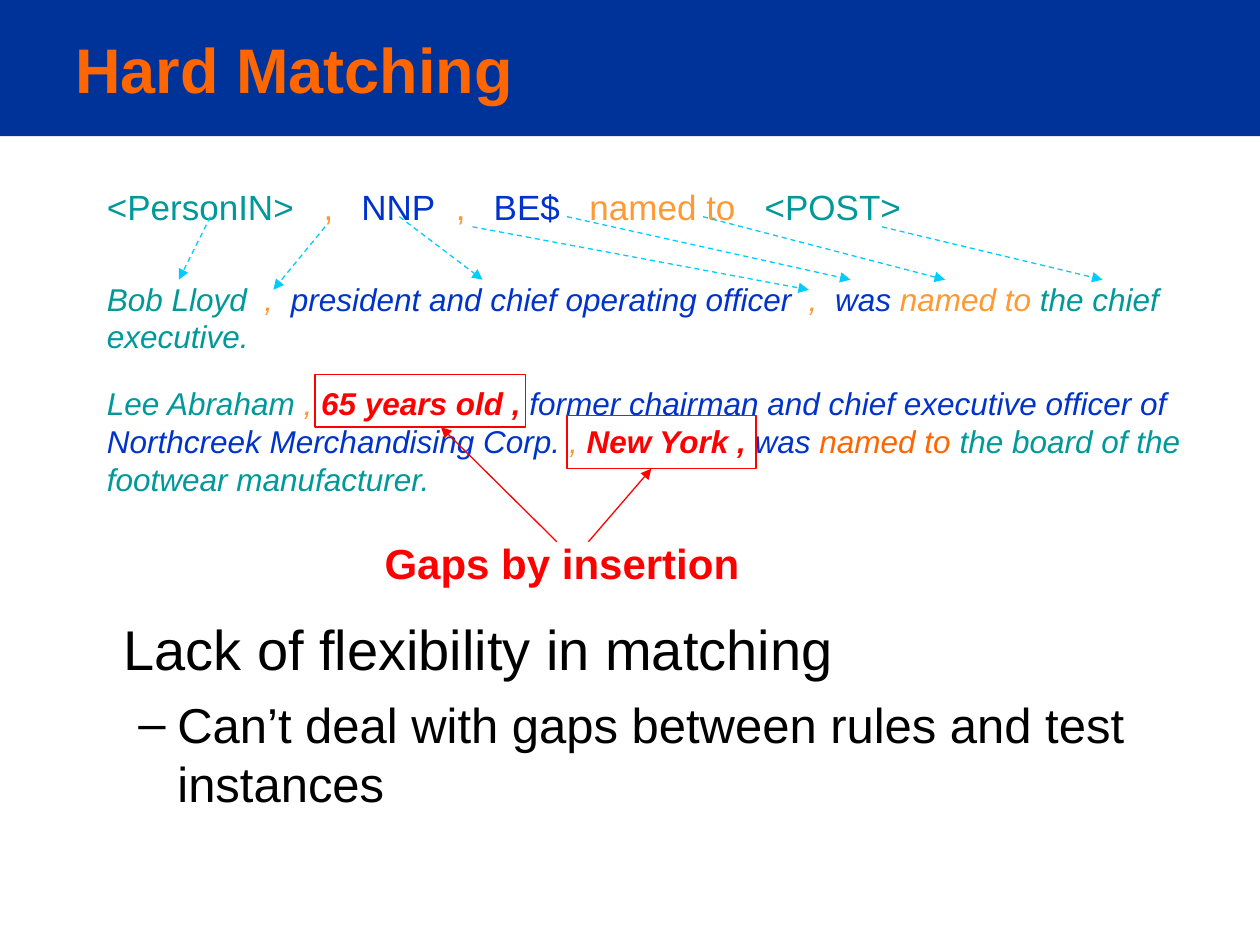
"""Build the slide on hard matching of patterns."""
from lxml import etree
from pptx import Presentation
from pptx.dml.color import RGBColor
from pptx.enum.dml import MSO_LINE
from pptx.enum.shapes import MSO_CONNECTOR, MSO_SHAPE
from pptx.enum.text import MSO_ANCHOR, PP_ALIGN
from pptx.oxml.ns import qn
from pptx.util import Inches, Pt

RECT, LINE = MSO_SHAPE.RECTANGLE, MSO_CONNECTOR.STRAIGHT
DASH = MSO_LINE.DASH
MIDDLE, CENTER = MSO_ANCHOR.MIDDLE, PP_ALIGN.CENTER
NAVY = RGBColor(0x00, 0x33, 0x99)
ORANGE = RGBColor(0xFF, 0x66, 0x00)
AMBER = RGBColor(0xFF, 0x99, 0x33)
TEAL = RGBColor(0x00, 0x99, 0x99)
BLUE = RGBColor(0x00, 0x33, 0xCC)
RED = RGBColor(0xFF, 0x00, 0x00)
CYAN = RGBColor(0x00, 0xCC, 0xFF)
BLACK = RGBColor(0x00, 0x00, 0x00)

TITLE = [("Hard Matching", ORANGE)]
RULE = [("<PersonIN>\t", TEAL), (",\t", AMBER), ("NNP\t", BLUE), (",\t", AMBER),
        ("BE$\t", BLUE), ("named to\t", AMBER), ("<POST>", TEAL)]
RULE_TABS = [1.72, 2.02, 2.77, 3.07, 3.83, 5.22]
MATCH = [("Bob Lloyd\t", TEAL), (",\t", AMBER),
         ("president and chief operating officer\t", BLUE), (",\t", AMBER),
         ("was ", BLUE), ("named to", AMBER), (" the chief executive.", TEAL)]
MATCH_TABS = [1.25, 1.46, 5.57, 5.78]
MISS = [("Lee Abraham ", TEAL), (", ", AMBER), ("65 years old , ", RED),
        ("former chairman and chief executive officer of "
         "Northcreek Merchandising Corp. ", BLUE),
        (", ", AMBER), ("New York , ", RED), ("was ", BLUE),
        ("named to", ORANGE), (" the board of the footwear manufacturer.", TEAL)]
LABEL = [("Gaps by insertion", RED)]
POINT = [("Lack of flexibility in matching", BLACK)]
DETAIL = [("Can’t deal with gaps between rules and test instances", BLACK)]

GAPS = [(2.5, 2.97, 1.67, 0.42), (4.5, 3.3, 1.5, 0.42)]
GAP_LINES = [(4.42, 4.3, 3.5, 3.39), (4.67, 4.3, 5.17, 3.72)]
MATCH_LINES = [(1.67, 1.72, 1.42, 2.22), (2.58, 1.8, 2.17, 2.3),
               (3.17, 1.72, 3.83, 2.22), (3.75, 1.8, 6.42, 2.3),
               (4.5, 1.72, 6.75, 2.22), (5.58, 1.72, 7.5, 2.22),
               (7, 1.8, 8.75, 2.22)]


def inches(nums):
    return [Inches(n) for n in nums]


def add_frame(slide, place):
    frame = slide.shapes.add_textbox(*inches(place)).text_frame
    frame.word_wrap = True
    return frame


def write(para, runs, size, bold=False, italic=False):
    font = para.font
    font.name, font.size, font.italic = "Arial", Pt(size), italic
    font.bold = bold
    for text, color in runs:
        run = para.add_run()
        run.text = text
        run.font.color.rgb = color
        if color == RED:
            run.font.bold = True


def set_tabs(para, stops):
    props = para._p.get_or_add_pPr()
    tabs = etree.Element(qn("a:tabLst"))
    for stop in stops:
        etree.SubElement(tabs, qn("a:tab"), pos=str(Inches(stop)), algn="l")
    props.insert_element_before(tabs, "a:defRPr", "a:extLst")


def set_indent(para, left, first=0, mark=None):
    props = para._p.get_or_add_pPr()
    props.set("marL", str(Inches(left)))
    props.set("indent", str(Inches(first)))
    if mark:
        face = etree.Element(qn("a:buFont"), typeface="Arial")
        item = etree.Element(qn("a:buChar"), char=mark)
        for part in (face, item):
            props.insert_element_before(part, "a:tabLst", "a:defRPr", "a:extLst")


def add_rect(slide, place, fill=None, edge=None):
    shape = slide.shapes.add_shape(RECT, *inches(place))
    shape.shadow.inherit = False
    if fill is None:
        shape.fill.background()
    else:
        shape.fill.solid()
        shape.fill.fore_color.rgb = fill
    if edge is None:
        shape.line.fill.background()
    else:
        shape.line.color.rgb = edge
        shape.line.width = Pt(0.75)


def add_arrow(slide, ends, color, dash=None):
    arrow = slide.shapes.add_connector(LINE, *inches(ends))
    arrow.line.color.rgb = color
    arrow.line.width = Pt(0.75)
    if dash:
        arrow.line.dash_style = dash
    etree.SubElement(arrow.line._get_or_add_ln(), qn("a:tailEnd"), type="triangle")
    etree.SubElement(arrow._element.spPr, qn("a:effectLst"))


def main():
    deck = Presentation()
    deck.slide_width, deck.slide_height = inches((10, 7.5))
    slide = deck.slides.add_slide(deck.slide_layouts[6])

    add_rect(slide, (0, 0, 10, 1.08), fill=NAVY)
    title = add_frame(slide, (0.5, 0.17, 7.33, 0.75))
    title.vertical_anchor = MIDDLE
    write(title.paragraphs[0], TITLE, 36, bold=True)

    body = add_frame(slide, (0.5, 4.83, 9, 1.83))
    point, detail = body.paragraphs[0], body.add_paragraph()
    write(point, POINT, 32)
    set_indent(point, 0.38)
    write(detail, DETAIL, 28)
    detail.level = 1
    detail.space_before = Pt(7)
    set_indent(detail, 0.81, -0.31, "–")

    match = add_frame(slide, (0.75, 2.17, 8.83, 0.7)).paragraphs[0]
    write(match, MATCH, 18, italic=True)
    set_tabs(match, MATCH_TABS)
    rule = add_frame(slide, (0.75, 1.42, 7.67, 0.44)).paragraphs[0]
    write(rule, RULE, 20)
    set_tabs(rule, RULE_TABS)
    miss = add_frame(slide, (0.75, 3, 9.08, 1.3)).paragraphs[0]
    write(miss, MISS, 18, italic=True)

    for place in GAPS:
        add_rect(slide, place, edge=RED)
    for ends in GAP_LINES:
        add_arrow(slide, ends, RED)
    label = add_frame(slide, (2.5, 4.22, 3.92, 0.5)).paragraphs[0]
    write(label, LABEL, 24, bold=True)
    label.alignment = CENTER
    for ends in MATCH_LINES:
        add_arrow(slide, ends, CYAN, DASH)

    deck.save("out.pptx")


if __name__ == "__main__":
    main()
